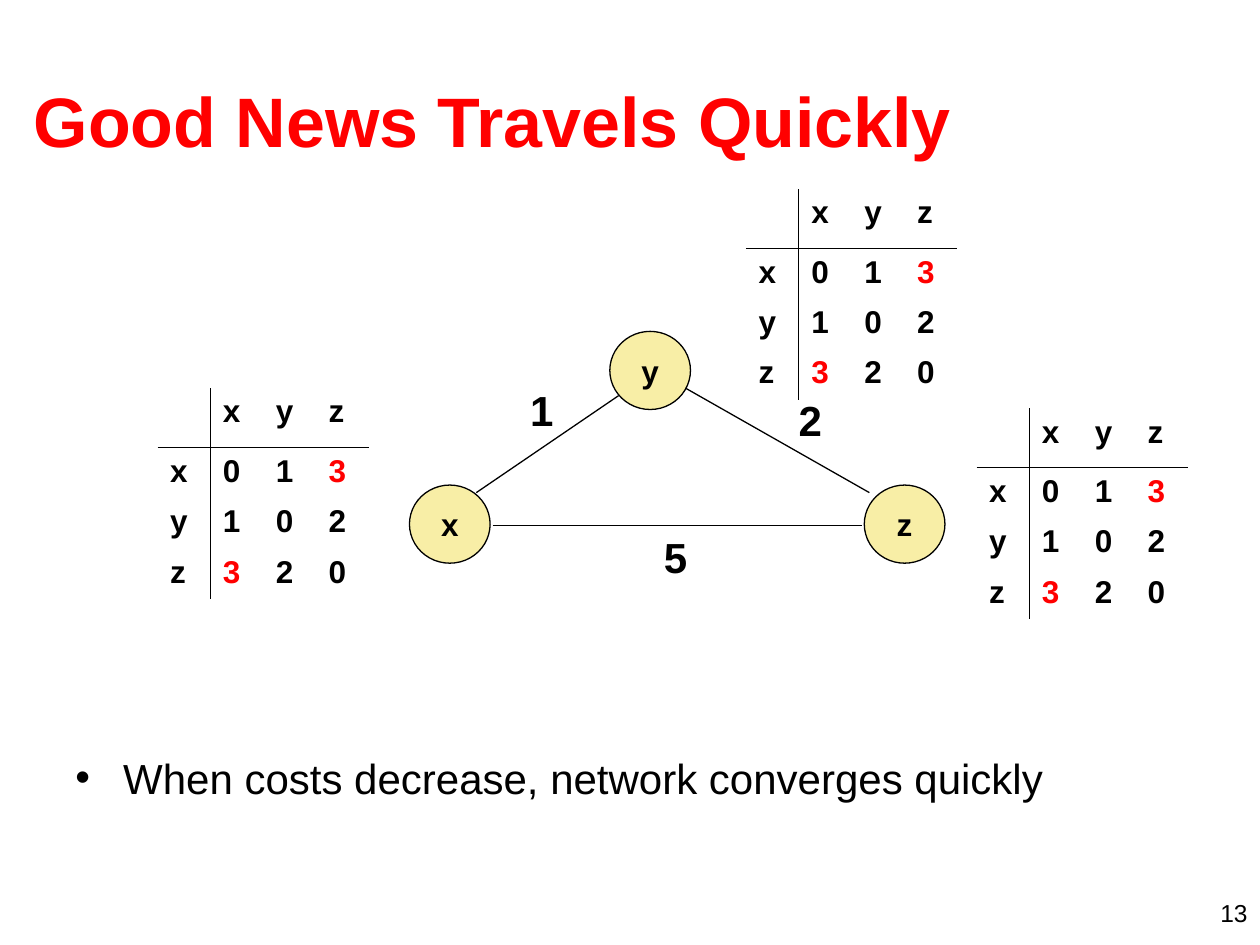
from dataclasses import dataclass

from lxml import etree
from pptx import Presentation
from pptx.dml.color import RGBColor
from pptx.enum.shapes import MSO_CONNECTOR, MSO_SHAPE
from pptx.enum.text import MSO_ANCHOR, PP_ALIGN
from pptx.oxml.ns import qn
from pptx.util import Inches, Pt

STRAIGHT = MSO_CONNECTOR.STRAIGHT
OVAL = MSO_SHAPE.OVAL
TOP, MIDDLE = MSO_ANCHOR.TOP, MSO_ANCHOR.MIDDLE
LEFT, CENTER, RIGHT = PP_ALIGN.LEFT, PP_ALIGN.CENTER, PP_ALIGN.RIGHT

FONT = "Arial"
COLORS = {"ink": "000000", "accent": "FF0000", "node": "F8EEA6"}
NODE_WIDTH, NODE_HEIGHT = 0.64, 0.62
COLUMN_WIDTH, HEADER_HEIGHT, ROW_HEIGHT = 0.42, 0.47, 0.4
CHANGED_COST = "3"
DISTANCES = [
    ["", "x", "y", "z"],
    ["x", "0", "1", "3"],
    ["y", "1", "0", "2"],
    ["z", "3", "2", "0"],
]


@dataclass
class Label:
    text: str
    left: float
    top: float
    width: float
    height: float
    size: int
    bold: bool = True
    color: str = "ink"
    align: PP_ALIGN = LEFT
    anchor: MSO_ANCHOR = TOP


@dataclass
class Node:
    name: str
    left: float
    top: float


@dataclass
class Edge:
    start: tuple[float, float]
    end: tuple[float, float]


TITLE = Label("Good News Travels Quickly", 0.17, 0.32, 9.58, 1.25, 40,
              color="accent", anchor=MIDDLE)
TAKEAWAY = Label("When costs decrease, network converges quickly",
                 0.5, 5.92, 9, 0.78, 24, bold=False)
PAGE_NUMBER = Label("13", 7.67, 7.08, 2.33, 0.25, 14, bold=False, align=RIGHT)
EDGE_COSTS = [
    Label("1", 4.11, 3, 0.47, 0.5, 24),
    Label("2", 6.24, 3.08, 0.47, 0.5, 24),
    Label("5", 5.17, 4.17, 0.47, 0.5, 24),
]
NODES = [Node("y", 4.84, 2.63), Node("x", 3.25, 3.85), Node("z", 6.86, 3.85)]
EDGES = [
    Edge((3.91, 4.17), (6.84, 4.17)),
    Edge((3.78, 3.91), (4.91, 3.14)),
    Edge((5.44, 3.08), (6.9, 3.91)),
]
TABLE_CORNERS = [(1.25, 3.08), (5.92, 1.5), (7.75, 3.24)]


def rgb(color: str) -> RGBColor:
    return RGBColor.from_string(COLORS[color])


def style_text(paragraph, size: int, bold: bool = True, color: str = "ink") -> None:
    for run in paragraph.runs:
        run.font.name = FONT
        run.font.size = Pt(size)
        run.font.bold = bold
        run.font.color.rgb = rgb(color)


def add_label(slide, label: Label):
    box = slide.shapes.add_textbox(Inches(label.left), Inches(label.top),
                                   Inches(label.width), Inches(label.height))
    frame = box.text_frame
    frame.word_wrap = True
    frame.vertical_anchor = label.anchor
    frame.text = label.text
    paragraph = frame.paragraphs[0]
    paragraph.alignment = label.align
    style_text(paragraph, label.size, label.bold, label.color)
    return paragraph


def add_bullet(paragraph) -> None:
    properties = paragraph._p.get_or_add_pPr()
    properties.set("marL", str(Inches(0.38)))
    properties.set("indent", str(-Inches(0.38)))
    bullet_color = etree.SubElement(properties, qn("a:buClr"))
    etree.SubElement(bullet_color, qn("a:srgbClr"), val=COLORS["ink"])
    etree.SubElement(properties, qn("a:buFont"), typeface=FONT)
    etree.SubElement(properties, qn("a:buChar"), char="•")


def set_borders(cell, ruled_sides: set[str]) -> None:
    properties = cell._tc.get_or_add_tcPr()
    for side in "LRTB":
        border = etree.SubElement(properties, qn(f"a:ln{side}"), w=str(Pt(0.45)))
        if side in ruled_sides:
            fill = etree.SubElement(border, qn("a:solidFill"))
            etree.SubElement(fill, qn("a:srgbClr"), val=COLORS["ink"])
        else:
            etree.SubElement(border, qn("a:noFill"))


def add_distance_table(slide, left: float, top: float) -> None:
    size = len(DISTANCES)
    table = slide.shapes.add_table(
        size, size, Inches(left), Inches(top), Inches(size * COLUMN_WIDTH),
        Inches(HEADER_HEIGHT + (size - 1) * ROW_HEIGHT)).table
    table.first_row = False
    table.horz_banding = False
    for column in table.columns:
        column.width = Inches(COLUMN_WIDTH)
    for row_index, values in enumerate(DISTANCES):
        table.rows[row_index].height = Inches(ROW_HEIGHT if row_index else HEADER_HEIGHT)
        for column_index, value in enumerate(values):
            cell = table.cell(row_index, column_index)
            rules = {0: "R", 1: "L"}.get(column_index, "")
            rules += {0: "B", 1: "T"}.get(row_index, "")
            set_borders(cell, set(rules))
            cell.fill.background()
            cell.text_frame.text = value
            color = "accent" if value == CHANGED_COST else "ink"
            style_text(cell.text_frame.paragraphs[0], 18, color=color)


def add_node(slide, node: Node) -> None:
    circle = slide.shapes.add_shape(OVAL, Inches(node.left), Inches(node.top),
                                    Inches(NODE_WIDTH), Inches(NODE_HEIGHT))
    circle.shadow.inherit = False
    circle.fill.solid()
    circle.fill.fore_color.rgb = rgb("node")
    circle.line.color.rgb = rgb("ink")
    circle.line.width = Pt(0.75)
    frame = circle.text_frame
    frame.word_wrap = False
    frame.vertical_anchor = MIDDLE
    frame.text = node.name
    frame.paragraphs[0].alignment = CENTER
    style_text(frame.paragraphs[0], 18)


def add_edge(slide, edge: Edge) -> None:
    points = [Inches(value) for value in (*edge.start, *edge.end)]
    link = slide.shapes.add_connector(STRAIGHT, *points)
    link.line.color.rgb = rgb("ink")
    link.line.width = Pt(0.75)
    etree.SubElement(link._element.spPr, qn("a:effectLst"))


def main() -> None:
    presentation = Presentation()
    presentation.slide_width = Inches(10)
    presentation.slide_height = Inches(7.5)
    slide = presentation.slides.add_slide(presentation.slide_layouts[6])
    add_label(slide, PAGE_NUMBER)
    add_label(slide, TITLE)
    add_bullet(add_label(slide, TAKEAWAY))
    for left, top in TABLE_CORNERS:
        add_distance_table(slide, left, top)
    for node in NODES:
        add_node(slide, node)
    for edge in EDGES:
        add_edge(slide, edge)
    for cost in EDGE_COSTS:
        add_label(slide, cost)
    presentation.save("out.pptx")


if __name__ == "__main__":
    main()
